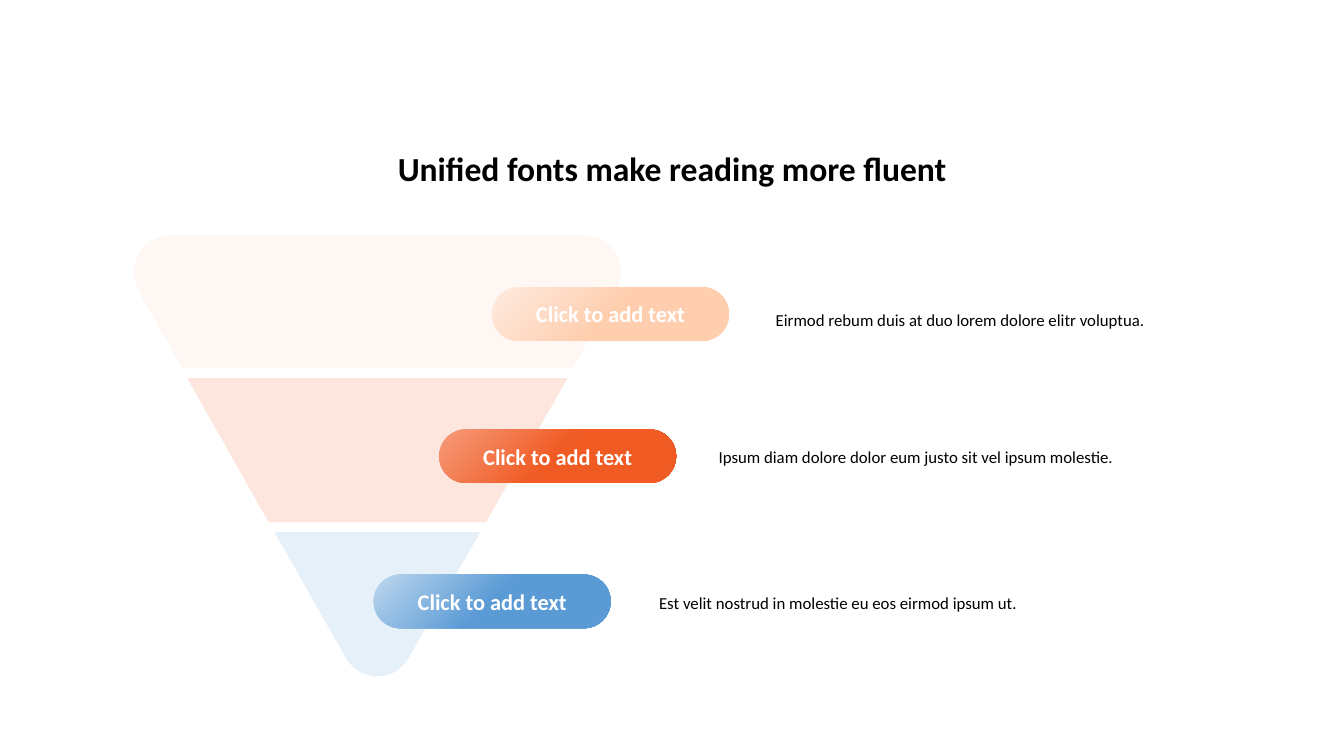
from lxml import etree
from pptx import Presentation
from pptx.dml.color import RGBColor
from pptx.enum import shapes, text
from pptx.oxml import ns
from pptx.util import Cm, Pt

FONT = "Calibri"
TITLE = "Unified fonts make reading more fluent"
LABEL = "Click to add text"
AXIS = 9.51
PILL_SIZE = (5.97, 1.35)
NOTE_SIZE = (11.07, 1.47)
CURVE_STEPS = 16

LEVELS = [
    {
        "color": "FECEAF", "tint": "FFEBDF",
        "half": [(4.92, 9.27), (6.01, 7.34), (6.32, 6.78, 6.04, 6.12, 5.47, 5.97), (5.23, 5.92)],
        "pill": (12.4, 7.24),
        "note": (19.3, 7.59, "Eirmod rebum duis at duo lorem dolore elitr voluptua."),
    },
    {
        "color": "F05A23", "tint": "F69C7B",
        "half": [(2.74, 13.16), (4.79, 9.53)],
        "pill": (11.07, 10.82),
        "note": (17.86, 11.02, "Ipsum diam dolore dolor eum justo sit vel ipsum molestie."),
    },
    {
        "color": "5B9BD5", "tint": "BDD7EE",
        "half": [(0, 17.04), (0.33, 17.04, 0.61, 16.89, 0.8, 16.56), (2.59, 13.41)],
        "pill": (9.42, 14.48),
        "note": (16.36, 14.71, "Est velit nostrud in molestie eu eos eirmod ipsum ut."),
    },
]


def rgb(color):
    return RGBColor.from_string(color)


def style(paragraph, size, color, bold=False):
    font = paragraph.font
    font.name, font.size, font.bold = FONT, Pt(size), bold
    font.color.rgb = rgb(color)


def flatten(half):
    points = []
    for step in half:
        if len(step) == 2:
            points.append(step)
            continue
        corners = [points[-1], step[0:2], step[2:4], step[4:6]]
        for index in range(1, CURVE_STEPS + 1):
            t = index / CURVE_STEPS
            weights = ((1 - t) ** 3, 3 * t * (1 - t) ** 2, 3 * t * t * (1 - t), t ** 3)
            points.append(tuple(sum(w * c[k] for w, c in zip(weights, corners)) for k in (0, 1)))
    return points


def add_band(slide, half, color):
    right = flatten(half)
    left = [(-x, y) for x, y in reversed(right)]
    outline = [(Cm(AXIS + x), Cm(y)) for x, y in right + left]
    builder = slide.shapes.build_freeform(*outline[0])
    builder.add_line_segments(outline[1:], close=True)
    shape = builder.convert_to_shape()
    shape.shadow.inherit = False
    shape.line.fill.background()
    shape.fill.solid()
    shape.fill.fore_color.rgb = rgb(color)
    fill_color = shape.fill._xPr.find(ns.qn("a:solidFill"))[0]
    etree.SubElement(fill_color, ns.qn("a:alpha"), val="15000")


def add_pill(slide, position, tint, color):
    shape = slide.shapes.add_shape(
        shapes.MSO_SHAPE.ROUNDED_RECTANGLE, *map(Cm, position + PILL_SIZE))
    shape.adjustments[0] = 0.5
    shape.shadow.inherit = False
    shape.line.fill.background()
    shape.fill.gradient()
    shape.fill.gradient_angle = 315
    for stop, place, stop_color in zip(shape.fill.gradient_stops, (0, 0.5), (tint, color)):
        stop.position = place
        stop.color.rgb = rgb(stop_color)
    frame = shape.text_frame
    frame.vertical_anchor = text.MSO_ANCHOR.MIDDLE
    frame.text = LABEL
    paragraph = frame.paragraphs[0]
    paragraph.alignment = text.PP_ALIGN.CENTER
    style(paragraph, 16, "FFFFFF", bold=True)


def add_note(slide, left, top, words):
    frame = slide.shapes.add_textbox(*map(Cm, (left, top) + NOTE_SIZE)).text_frame
    frame.word_wrap = True
    frame.text = words
    paragraph = frame.paragraphs[0]
    paragraph.line_spacing = 1.2
    style(paragraph, 12, "000000")


def add_title(slide):
    title = slide.shapes.title
    title.left, title.top, title.width, title.height = map(Cm, (4.42, 3.15, 25.04, 1.73))
    frame = title.text_frame
    frame.text = TITLE
    frame.word_wrap = True
    frame.auto_size = text.MSO_AUTO_SIZE.NONE
    frame.vertical_anchor = text.MSO_ANCHOR.BOTTOM
    paragraph = frame.paragraphs[0]
    paragraph.alignment = text.PP_ALIGN.CENTER
    style(paragraph, 24, "000000", bold=True)


def main():
    presentation = Presentation()
    presentation.slide_width, presentation.slide_height = Cm(33.87), Cm(19.05)
    slide = presentation.slides.add_slide(presentation.slide_layouts[5])
    add_title(slide)
    for level in LEVELS:
        add_band(slide, level["half"], level["color"])
    for level in LEVELS:
        add_pill(slide, level["pill"], level["tint"], level["color"])
        add_note(slide, *level["note"])
    presentation.save("out.pptx")


if __name__ == "__main__":
    main()
